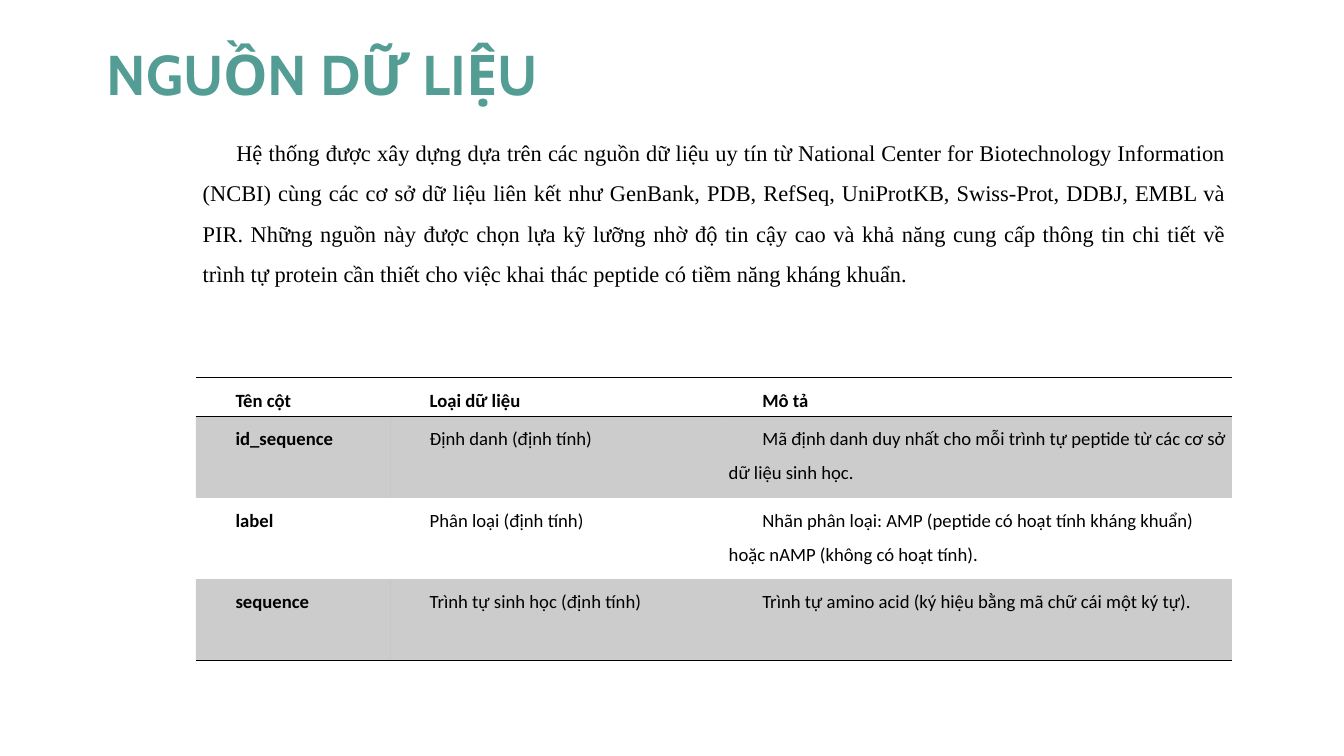
import pptx
import pptx.dml.color
import pptx.enum.text
import pptx.oxml.ns
import pptx.util
from lxml import etree

Pt = pptx.util.Pt
ALIGN = pptx.enum.text.PP_ALIGN
NO_STYLE = "{2D5ABB26-0587-4C30-8999-92F81FD0307C}"

TITLE = "NGUỒN DỮ LIỆU"
SOURCES = (
    "Hệ thống được xây dựng dựa trên các nguồn dữ liệu uy tín từ National Center "
    "for Biotechnology Information (NCBI) cùng các cơ sở dữ liệu liên kết như "
    "GenBank, PDB, RefSeq, UniProtKB, Swiss-Prot, DDBJ, EMBL và PIR. Những nguồn "
    "này được chọn lựa kỹ lưỡng nhờ độ tin cậy cao và khả năng cung cấp thông tin "
    "chi tiết về trình tự protein cần thiết cho việc khai thác peptide có tiềm năng "
    "kháng khuẩn."
)
COLUMNS = [
    ("Tên cột", "Loại dữ liệu", "Mô tả"),
    ("id_sequence", "Định danh (định tính)",
     "Mã định danh duy nhất cho mỗi trình tự peptide từ các cơ sở dữ liệu sinh học."),
    ("label", "Phân loại (định tính)",
     "Nhãn phân loại: AMP (peptide có hoạt tính kháng khuẩn) hoặc nAMP "
     "(không có hoạt tính)."),
    ("sequence", "Trình tự sinh học (định tính)",
     "Trình tự amino acid (ký hiệu bằng mã chữ cái một ký tự)."),
]


def color(hex_value):
    return pptx.dml.color.RGBColor.from_string(hex_value)


def add_xml(parent, tag, **attributes):
    return etree.SubElement(parent, pptx.oxml.ns.qn(tag), attributes)


def set_all(target, values):
    for name, value in values.items():
        setattr(target, name, value)


class SourceSlide:
    teal, black = "539D94", "000000"
    title_font, body_font, table_font = "Cabin", "Times New Roman", "Calibri"
    indent = 36

    def __init__(self, deck):
        self.slide = deck.slides.add_slide(deck.slide_layouts[1])

    def put_text(self, frame, text, font, ink, layout, margin=0, indent=0):
        paragraph = frame.paragraphs[0]
        properties = paragraph._p.get_or_add_pPr()
        properties.set("marL", str(Pt(margin)))
        properties.set("indent", str(Pt(indent)))
        add_xml(properties, "a:buNone")
        set_all(paragraph, {"space_before": Pt(0), **layout})
        run = paragraph.add_run()
        run.text = text
        set_all(run.font, font)
        run.font.color.rgb = color(ink)

    def place(self, holder, box, frame_format):
        set_all(holder, dict(zip(("left", "top", "width", "height"), map(Pt, box))))
        set_all(holder.text_frame, {
            "word_wrap": True,
            "auto_size": pptx.enum.text.MSO_AUTO_SIZE.SHAPE_TO_FIT_TEXT,
            "vertical_anchor": pptx.enum.text.MSO_ANCHOR.TOP,
            **frame_format})
        return holder.text_frame

    def title(self, text, box):
        sides = ("left", "top", "right", "bottom")
        frame = self.place(self.slide.shapes.title, box,
                           {f"margin_{side}": 0 for side in sides})
        self.put_text(frame, text,
                      {"name": self.title_font, "size": Pt(60), "bold": True},
                      self.teal,
                      {"alignment": ALIGN.LEFT, "line_spacing": Pt(92.2)})

    def body(self, text, box):
        frame = self.place(self.slide.placeholders[1], box, {})
        self.put_text(frame, text, {"name": self.body_font, "size": Pt(24)},
                      self.black,
                      {"alignment": ALIGN.JUSTIFY, "line_spacing": 1.5,
                       "space_after": Pt(10)}, indent=self.indent)

    def rule(self, cell, edge):
        """Draw a thin line on one edge of a cell; call before filling it."""
        line = add_xml(cell._tc.get_or_add_tcPr(), f"a:{edge}", w=str(Pt(1)))
        add_xml(add_xml(line, "a:solidFill"), "a:srgbClr", val=self.black)

    def shade(self, cell):
        cell.fill.solid()
        cell.fill.fore_color.rgb = color(self.black)
        tint = cell._tc.tcPr.find(pptx.oxml.ns.qn("a:solidFill"))
        add_xml(tint[0], "a:alpha", val="20000")

    def table(self, rows, box, widths, heights):
        table = self.slide.shapes.add_table(
            len(rows), len(widths), *map(Pt, box)).table
        table._tbl.tblPr.find(pptx.oxml.ns.qn("a:tableStyleId")).text = NO_STYLE
        for column, width in zip(table.columns, widths):
            column.width = Pt(width)
        for r, (texts, height) in enumerate(zip(rows, heights)):
            table.rows[r].height = Pt(height)
            for c, text in enumerate(texts):
                cell = table.cell(r, c)
                set_all(cell, {"margin_left": Pt(5), "margin_right": Pt(5),
                               "margin_top": 0, "margin_bottom": 0})
                self.put_text(cell.text_frame, text,
                              {"name": self.table_font, "size": Pt(20),
                               "bold": r == 0 or c == 0}, self.black,
                              {"line_spacing": 1.5, "space_after": Pt(10)},
                              margin=1.4, indent=self.indent)
                if r == 0:
                    self.rule(cell, "lnT")
                if r in (0, len(rows) - 1):
                    self.rule(cell, "lnB")
                if r % 2:
                    self.shade(cell)
                else:
                    cell.fill.background()


def main():
    deck = pptx.Presentation()
    deck.slide_width, deck.slide_height = Pt(1440), Pt(810)
    page = SourceSlide(deck)
    page.title(TITLE, (114, 21.6, 1146, 83.5))
    page.body(SOURCES, (210, 131, 1110, 176.4))
    page.table(COLUMNS, (210, 404.8, 1110, 302.6),
               widths=(208, 356.4, 545.6), heights=(41, 87.6, 87, 87))
    deck.save("out.pptx")


if __name__ == "__main__":
    main()
